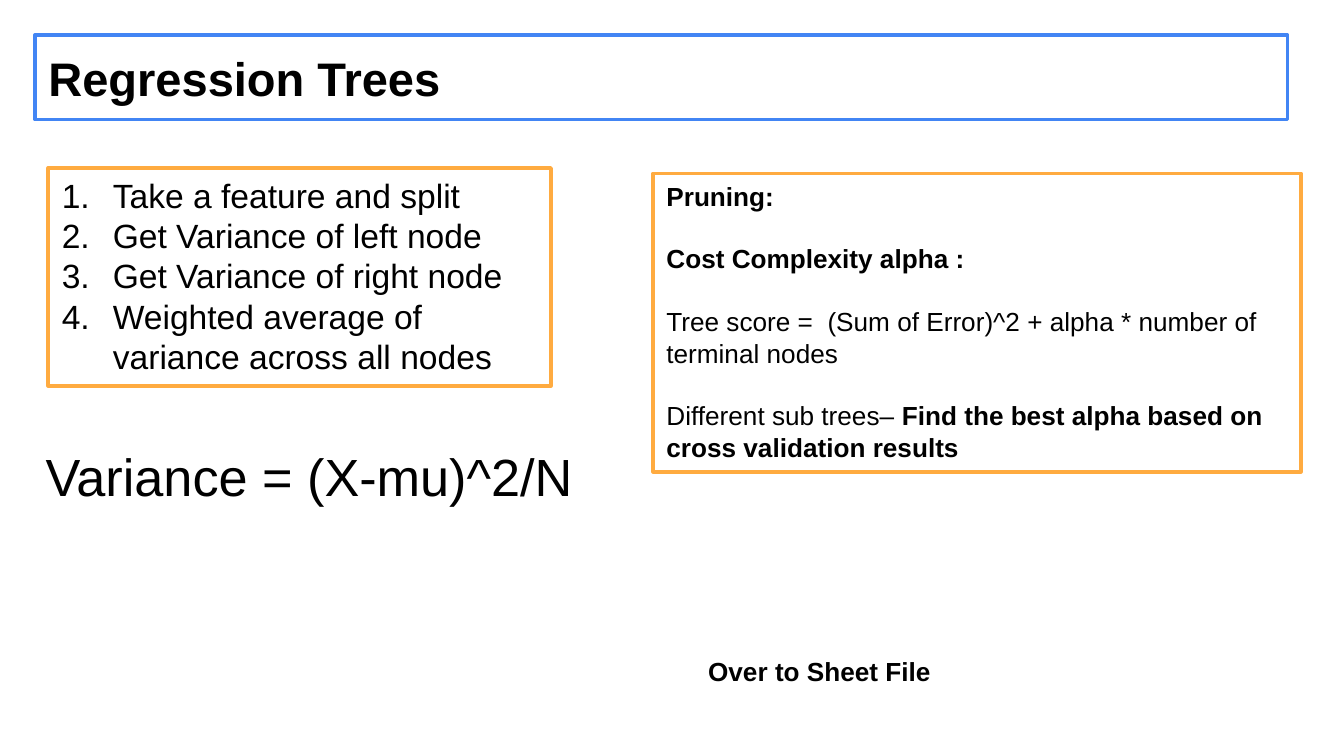
from lxml import etree
from pptx import Presentation
from pptx.dml.color import RGBColor
from pptx.enum.text import MSO_ANCHOR, PP_ALIGN
from pptx.oxml.ns import qn
from pptx.util import Inches, Pt

LEFT = PP_ALIGN.LEFT
TOP, MIDDLE = MSO_ANCHOR.TOP, MSO_ANCHOR.MIDDLE

THEME = {
    "font": "Arial",
    "text": RGBColor(0, 0, 0),
    "fill": RGBColor(0xFF, 0xFF, 0xFF),
    "blue": RGBColor(0x42, 0x85, 0xF4),
    "orange": RGBColor(0xFF, 0xAB, 0x40),
    "title": 25.2,
    "list": 18,
    "note": 14,
    "formula": 28,
    "line": 2,
}


def place(sp, x, y, w, h, anchor=TOP, border=None):
    """Position a shape and set its frame and text area."""
    sp.left, sp.top, sp.width, sp.height = (Inches(v) for v in (x, y, w, h))
    tf = sp.text_frame
    tf.word_wrap = True
    tf.vertical_anchor = anchor
    tf.margin_left = tf.margin_right = Inches(0.1)
    tf.margin_top = tf.margin_bottom = Inches(0.05)
    if border:
        sp.fill.solid()
        sp.fill.fore_color.rgb = THEME["fill"]
        sp.line.color.rgb = THEME[border]
        sp.line.width = Pt(THEME["line"])
    return tf


def style(tf, size, bold=False):
    """Format every run of a text frame alike."""
    for p in tf.paragraphs:
        p.alignment = LEFT
        p.space_before = Pt(0)
        for r in p.runs:
            r.font.name = THEME["font"]
            r.font.size = Pt(THEME[size])
            r.font.bold = bold
            r.font.color.rgb = THEME["text"]


# 16:9 slide
prs = Presentation()
prs.slide_width = Inches(10)
prs.slide_height = Inches(10) * 9 // 16
s = prs.slides.add_slide(prs.slide_layouts[1])

# Title
tf = place(s.shapes.title, 0.26, 0.26, 9.32, 0.63, MIDDLE, "blue")
tf.text = "Regression Trees"
style(tf, "title", bold=True)

# Pruning box: paragraphs are set one line apart
tf = place(s.shapes.add_textbox(0, 0, 0, 0), 4.86, 1.29, 4.82, 2.22, border="orange")
tf.text = "\n".join([
    "Pruning:",
    "Cost Complexity alpha :",
    "Tree score =  (Sum of Error)^2 + alpha * number of terminal nodes",
    "Different sub trees– ",
])
tf.paragraphs[3].add_run().text = "Find the best alpha based on cross validation results"
style(tf, "note")
for p in tf.paragraphs[1:]:
    p.space_before = Pt(16.8)
for p in (tf.paragraphs[0], tf.paragraphs[1], tf.paragraphs[3]):
    p.runs[-1].font.bold = True

# Numbered steps
tf = place(s.placeholders[1], 0.36, 1.25, 3.74, 1.62, border="orange")
tf.text = "\n".join([
    "Take a feature and split",
    "Get Variance of left node",
    "Get Variance of right node",
    "Weighted average of variance across all nodes",
])
style(tf, "list")
for p in tf.paragraphs:
    pPr = p._p.get_or_add_pPr()
    pPr.set("marL", str(Inches(0.38)))
    pPr.set("indent", str(-Inches(0.38)))
    etree.SubElement(pPr, qn("a:buFont"), typeface=THEME["font"])
    etree.SubElement(pPr, qn("a:buAutoNum"), type="arabicPeriod")

# Variance formula
tf = place(s.shapes.add_textbox(0, 0, 0, 0), 0.24, 3.26, 4.19, 0.57)
tf.text = "Variance = (X-mu)^2/N"
style(tf, "formula")

# Closing pointer
tf = place(s.shapes.add_textbox(0, 0, 0, 0), 5.17, 4.83, 4.32, 0.34)
tf.text = "Over to Sheet File"
style(tf, "note", bold=True)

prs.save("out.pptx")
